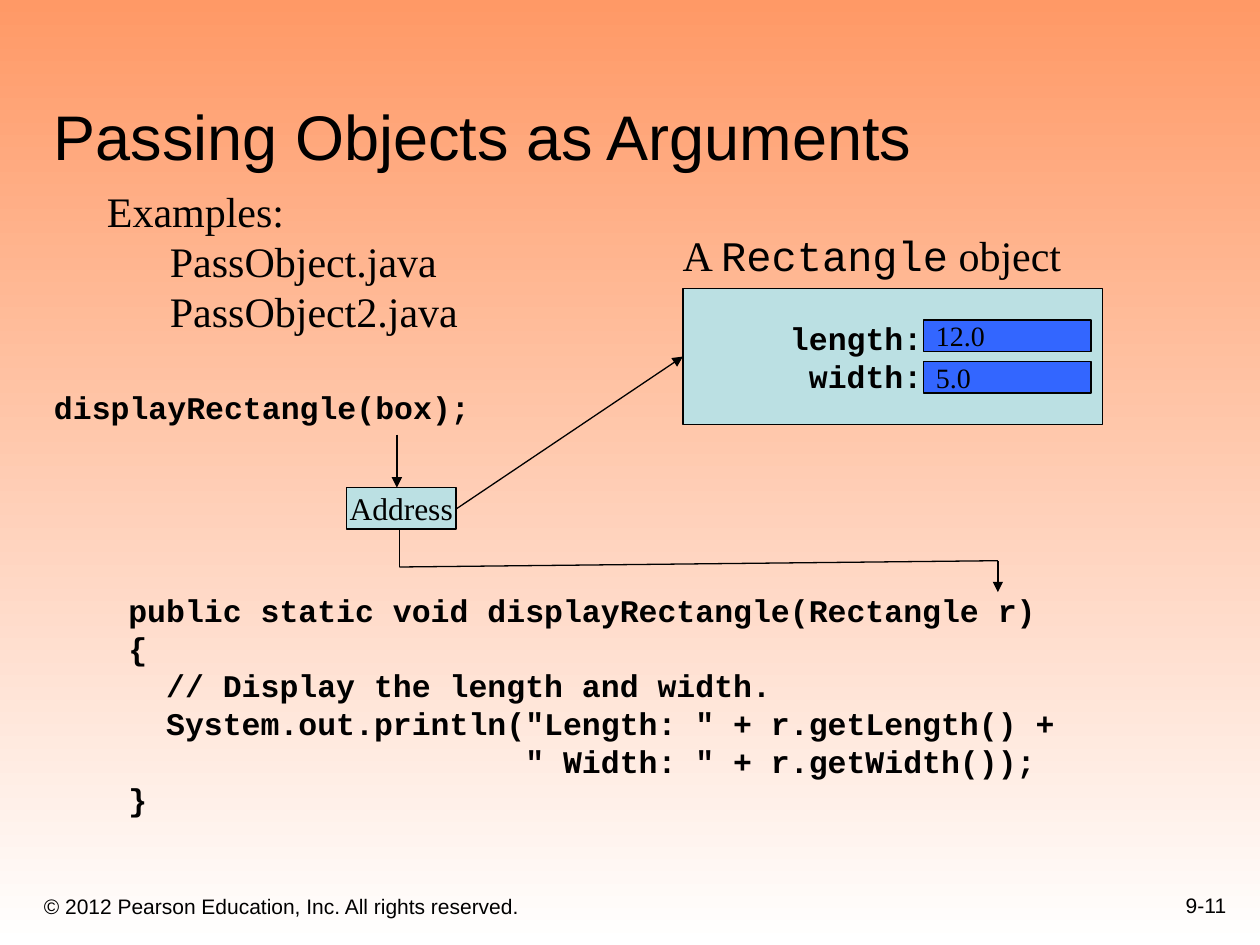
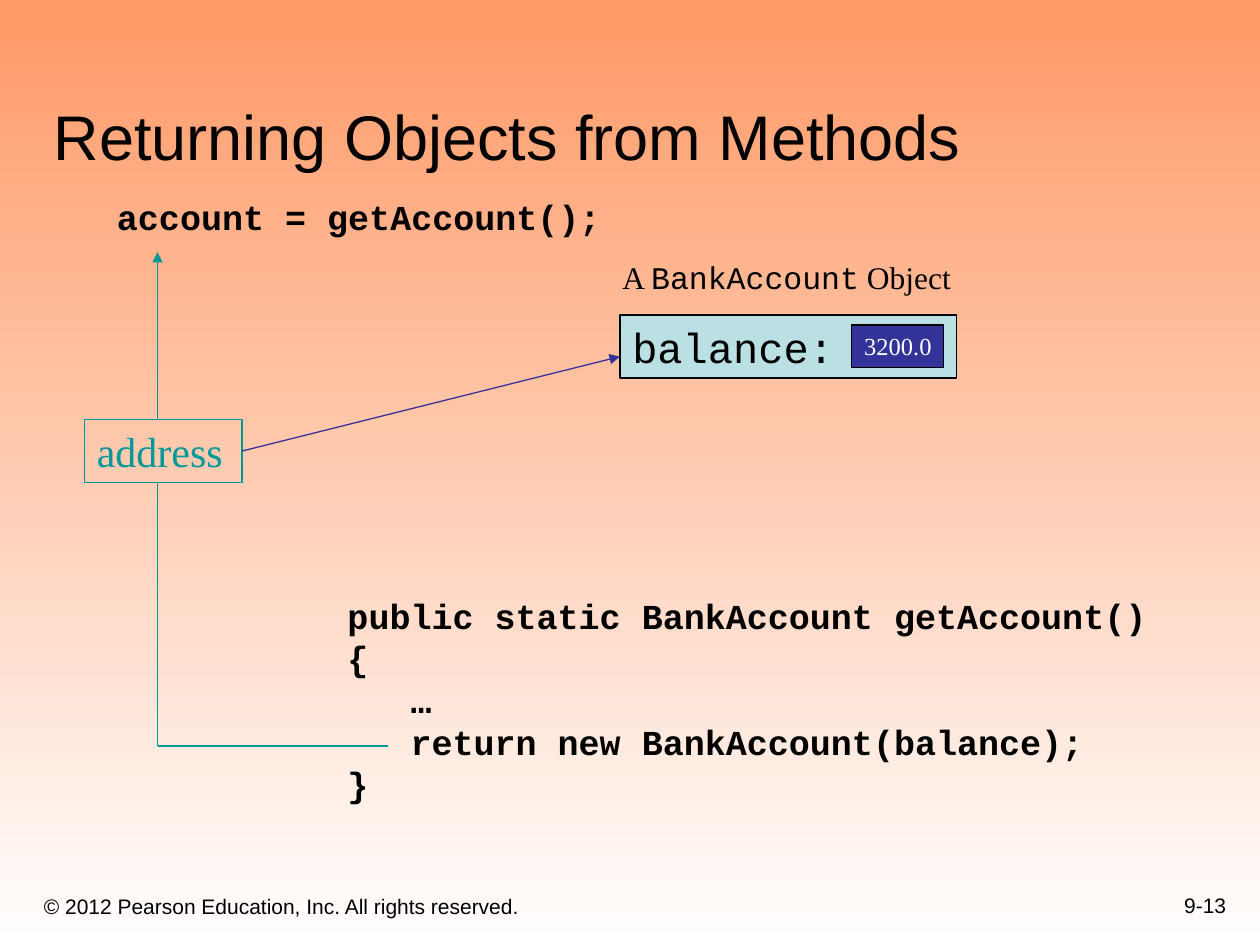
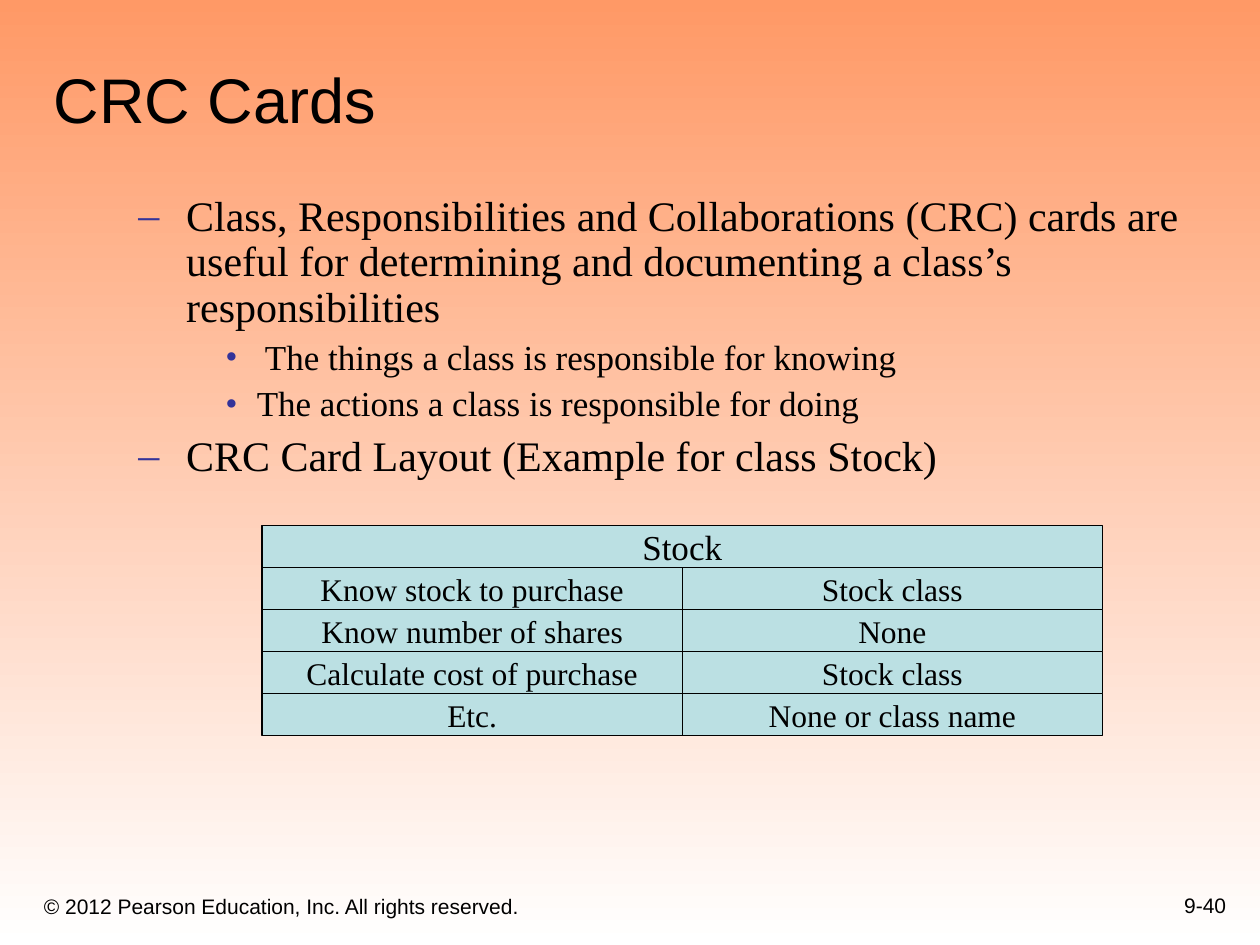
"""Build three lecture slides on objects, methods and CRC cards."""
from lxml.etree import SubElement
from pptx import Presentation
from pptx.dml.color import RGBColor
from pptx.enum.shapes import MSO_CONNECTOR as Connector, MSO_SHAPE as Shape
from pptx.enum.text import MSO_ANCHOR as Anchor, PP_ALIGN as Align
from pptx.oxml.ns import qn
from pptx.util import Inches, Pt

COLORS = {
    "sky": "FF9966", "paper": "FFFFFF", "ink": "000000", "card": "BBE0E3",
    "field": "3366FF", "navy": "333399", "teal": "009999",
}
RGB = {name: RGBColor.from_string(value) for name, value in COLORS.items()}
SANS, SERIF, MONO = "Arial", "Times New Roman", "Courier New"
LINE_WIDTH = Pt(0.75)


def add_text(page, place, lines, font=SERIF, size=24, color="ink", bold=False,
             outline=Shape.RECTANGLE, fill=None, line=None, align=Align.LEFT,
             anchor=Anchor.TOP, wrap=True):
    """Add a text box, or a shape if it has a line; a line may be (text, font) pairs."""
    position = [Inches(value) for value in place]
    if line:
        box = page.shapes.add_shape(outline, *position)
        box.shadow.inherit = False
        box.line.color.rgb, box.line.width = RGB[line], LINE_WIDTH
        if fill:
            box.fill.solid()
            box.fill.fore_color.rgb = RGB[fill]
        else:
            box.fill.background()
    else:
        box = page.shapes.add_textbox(*position)
    frame = box.text_frame
    frame.word_wrap, frame.vertical_anchor = wrap, anchor
    for index, content in enumerate(lines):
        para = frame.add_paragraph() if index else frame.paragraphs[0]
        para.alignment = align
        pairs = [(content, font)] if isinstance(content, str) else content
        for words, face in pairs:
            span = para.add_run()
            span.text = words
            for name, value in {"name": face, "size": Pt(size), "bold": bold}.items():
                setattr(span.font, name, value)
            span.font.color.rgb = RGB[color]
    return box


def add_line(page, start, end, color="ink", arrow=False):
    """Draw a straight line, with an arrowhead at its end if asked."""
    link = page.shapes.add_connector(
        Connector.STRAIGHT, *[Inches(value) for value in (*start, *end)])
    link.line.color.rgb, link.line.width = RGB[color], LINE_WIDTH
    if arrow:
        SubElement(link.line._get_or_add_ln(), qn("a:tailEnd"), type="triangle")
    SubElement(link._element.spPr, qn("a:effectLst"))


deck = Presentation()
deck.slide_width, deck.slide_height = Inches(10), Inches(7.5)
backdrop = deck.slide_master.background.fill
backdrop.gradient()
backdrop.gradient_angle = 270
for stop, name in zip(backdrop.gradient_stops, ("sky", "paper")):
    stop.color.rgb = RGB[name]

pages = []
for title, number, title_height in (
    ("Passing Objects as Arguments", "9-11", 1.09),
    ("Returning Objects from Methods", "9-13", 1.09),
    ("CRC Cards", "9-40", 0.8),
):
    page = deck.slides.add_slide(deck.slide_layouts[6])
    footer = {"font": SANS, "size": 12, "anchor": Anchor.BOTTOM}
    add_text(page, (0.25, 6.92, 6.08, 0.42),
             ["© 2012 Pearson Education, Inc. All rights reserved."], **footer)
    add_text(page, (7.75, 6.83, 2.08, 0.5), [number], align=Align.RIGHT, **footer)
    add_text(page, (0.33, 0.33, 9.42, title_height), [title],
             font=SANS, size=36, anchor=Anchor.BOTTOM)
    pages.append(page)
passing, returning, cards = pages

examples = add_text(passing, (0.75, 1.42, 3.05, 1.3),
                    ["Examples:", "PassObject.java", "PassObject2.java"])
for para in examples.text_frame.paragraphs[1:]:
    para._p.get_or_add_pPr().set("marL", str(Inches(0.5)))
code = {"font": MONO, "size": 18, "bold": True}
add_text(passing, (0.33, 3.03, 3.58, 0.4), ["displayRectangle(box);"], **code)
add_text(passing, (0.92, 4.64, 7.55, 1.9), [
    "public static void displayRectangle(Rectangle r)",
    "{",
    "  // Display the length and width.",
    '  System.out.println("Length: " + r.getLength() +',
    '                     " Width: " + r.getWidth());',
    "}",
], wrap=False, **code)
add_text(passing, (5.32, 1.77, 3.22, 0.5),
         [[("A ", SERIF), ("Rectangle", MONO), (" object", SERIF)]], wrap=False)
rectangle = add_text(passing, (5.42, 2.29, 3.33, 1.08), ["length:", "width:"], fill="card",
                     line="ink", align=Align.RIGHT, anchor=Anchor.MIDDLE, **code)
rectangle.text_frame.margin_right = Inches(1.43)
for row, value in enumerate(("12.0", "5.0")):
    add_text(passing, (7.33, 2.54 + row * 0.33, 1.33, 0.25), [value], size=16,
             fill="field", line="ink", anchor=Anchor.MIDDLE, wrap=False)
add_text(passing, (2.75, 3.87, 0.87, 0.33), ["Address"], size=18, fill="card", line="ink",
         align=Align.CENTER, anchor=Anchor.MIDDLE, wrap=False)
for start, end, arrow in (
    ((3.15, 3.45), (3.15, 3.87), True),
    ((3.17, 4.2), (3.17, 4.5), False),
    ((3.17, 4.5), (7.92, 4.45), False),
    ((7.92, 4.45), (7.92, 4.7), True),
    ((3.62, 4.04), (5.42, 2.83), True),
):
    add_line(passing, start, end, arrow=arrow)

code["size"] = 20
add_text(returning, (0.83, 1.5, 4.25, 0.44), ["account = getAccount();"], **code)
add_text(returning, (2.66, 4.67, 6.6, 1.77), [
    "public static BankAccount getAccount()",
    "{",
    "   …",
    "   return new BankAccount(balance);",
    "}",
], **code)
add_text(returning, (4.92, 2.5, 2.67, 0.5), ["balance:"], font=MONO, fill="card", line="ink")
add_text(returning, (6.76, 2.58, 0.73, 0.34), ["3200.0"], size=14, color="paper",
         fill="navy", line="ink", wrap=False)
add_text(returning, (0.67, 3.33, 1.25, 0.5), ["address"], color="teal", line="teal")
for start, end, color, arrow in (
    ((1.25, 3.33), (1.25, 2), "teal", True),
    ((3.08, 5.92), (1.25, 5.92), "teal", False),
    ((1.25, 5.92), (1.25, 3.83), "teal", False),
    ((1.92, 3.58), (4.92, 2.83), "navy", True),
):
    add_line(returning, start, end, color, arrow)
add_text(returning, (4.84, 2, 2.82, 0.4),
         [[("A ", SERIF), ("BankAccount", MONO), (" Object", SERIF)]], size=18, wrap=False)

levels = {
    1: {"mark": "–", "left": 0.88, "hang": -0.38, "size": 24, "before": 6},
    2: {"mark": "•", "left": 1.44, "hang": -0.25, "size": 20, "before": 5},
}
points = [
    (1, "Class, Responsibilities and Collaborations (CRC) cards are useful for "
        "determining and documenting a class’s responsibilities"),
    (2, " The things a class is responsible for knowing"),
    (2, "The actions a class is responsible for doing"),
    (1, "CRC Card Layout (Example for class Stock)"),
]
body = add_text(cards, (0.5, 1.5, 9.17, 2.58), [words for level, words in points])
body.text_frame.margin_right = 0
for index, (para, (level, words)) in enumerate(zip(body.text_frame.paragraphs, points)):
    style = levels[level]
    props = para._p.get_or_add_pPr()
    props.set("marL", str(Inches(style["left"])))
    props.set("indent", str(Inches(style["hang"])))
    tint = SubElement(props, qn("a:buClr"))
    SubElement(tint, qn("a:srgbClr"), val=COLORS["navy"])
    SubElement(props, qn("a:buFont"), typeface=SERIF)
    SubElement(props, qn("a:buChar"), char=style["mark"])
    para.line_spacing = 0.9
    if index:
        para.space_before = Pt(style["before"])
    para.runs[0].font.size = Pt(style["size"])

card_left, card_top, card_width, row_height = 2.08, 4.17, 6.67, 1 / 3
card_rows = [
    ("Stock",),
    ("Know stock to purchase", "Stock class"),
    ("Know number of shares", "None"),
    ("Calculate cost of purchase", "Stock class"),
    ("Etc.", "None or class name"),
]
for row, values in enumerate(card_rows):
    width = card_width / len(values)
    for column, words in enumerate(values):
        place = (card_left + column * width, card_top + row * row_height, width, row_height)
        add_text(cards, place, [words], size=18 if row else 20, outline=Shape.FLOWCHART_PROCESS,
                 fill="card", line="ink", align=Align.CENTER, anchor=Anchor.MIDDLE, wrap=False)

deck.save("out.pptx")
